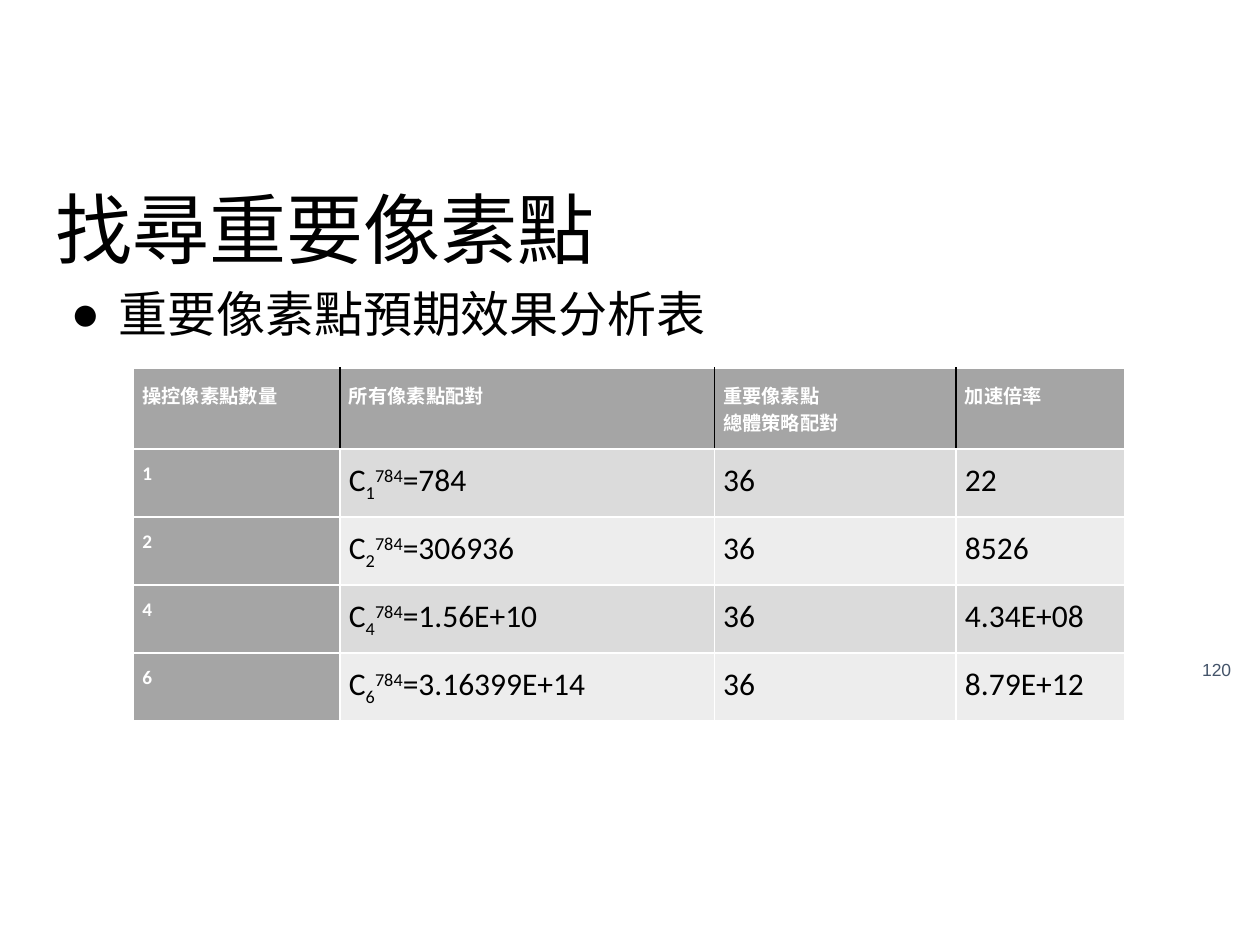
from dataclasses import dataclass

import pptx
import pptx.dml.color
import pptx.enum.text
import pptx.oxml
import pptx.oxml.ns
import pptx.util
from pptx.util import Inches

RGBColor = pptx.dml.color.RGBColor
Anchor = pptx.enum.text.MSO_ANCHOR
Align = pptx.enum.text.PP_ALIGN

BLACK = RGBColor(0x00, 0x00, 0x00)
WHITE = RGBColor(0xFF, 0xFF, 0xFF)
GREY = RGBColor(0xA5, 0xA5, 0xA5)
DARK_BAND = RGBColor(0xDB, 0xDB, 0xDB)
LIGHT_BAND = RGBColor(0xED, 0xED, 0xED)
SLATE = RGBColor(0x44, 0x54, 0x6A)

COLUMN_WIDTHS = (1.64, 2.97, 1.92, 1.34)
HEADER_HEIGHT = 0.64
ROW_HEIGHT = 0.54
HEADINGS = ("操控像素點數量", "所有像素點配對", "重要像素點\n總體策略配對", "加速倍率")


@dataclass
class Result:
    pixels: str
    pairings: str
    strategy: str
    speedup: str


RESULTS = (
    Result("1", "784", "36", "22"),
    Result("2", "306936", "36", "8526"),
    Result("4", "1.56E+10", "36", "4.34E+08"),
    Result("6", "3.16399E+14", "36", "8.79E+12"),
)


@dataclass
class Style:
    size: float
    color: RGBColor
    bold: bool = False
    name: str = "Calibri"


HEADING = Style(11, WHITE, True)
VALUE = Style(18, BLACK)


def apply_style(font, style: Style) -> None:
    font.size = pptx.util.Pt(style.size)
    font.color.rgb = style.color
    font.bold = style.bold
    font.name = style.name


def write_text(frame, text: str, style: Style) -> None:
    frame.text = text
    for para in frame.paragraphs:
        for span in para.runs:
            apply_style(span.font, style)


def place_text(box, bounds: tuple, text: str, style: Style,
               anchor=Anchor.TOP, align=Align.LEFT, spacing: float = 0.9):
    box.left, box.top, box.width, box.height = map(Inches, bounds)
    frame = box.text_frame
    frame.word_wrap = True
    frame.auto_size = pptx.enum.text.MSO_AUTO_SIZE.NONE
    frame.vertical_anchor = anchor
    frame.margin_left = frame.margin_right = Inches(0.1)
    frame.margin_top = frame.margin_bottom = Inches(0.1)
    write_text(frame, text, style)
    para = frame.paragraphs[0]
    para.alignment = align
    para.line_spacing = spacing
    para.space_before = pptx.util.Pt(0)
    return para


def add_bullet(para, symbol: str) -> None:
    properties = para._p.get_or_add_pPr()
    properties.set("marL", str(Inches(0.5)))
    properties.set("indent", str(Inches(-0.38)))
    bullet = pptx.oxml.parse_xml(
        f'<a:buChar {pptx.oxml.ns.nsdecls("a")} char="{symbol}"/>')
    properties.append(bullet)


def set_borders(cell, colors: dict) -> None:
    properties = cell._tc.get_or_add_tcPr()
    for position, (side, color) in enumerate(colors.items()):
        line = pptx.oxml.parse_xml(
            f'<a:ln{side} {pptx.oxml.ns.nsdecls("a")} w="{pptx.util.Pt(1)}">'
            f'<a:solidFill><a:srgbClr val="{color}"/></a:solidFill></a:ln{side}>')
        properties.insert(position, line)


def fill_cell(cell, text: str, style: Style, fill: RGBColor, colors: dict) -> None:
    cell.margin_left = cell.margin_right = Inches(0.07)
    cell.margin_top = cell.margin_bottom = Inches(0.1)
    cell.fill.solid()
    cell.fill.fore_color.rgb = fill
    write_text(cell.text_frame, text, style)
    set_borders(cell, colors)


def add_combination(cell, result: Result) -> None:
    para = cell.text_frame.paragraphs[0]
    parts = (("C", 0), (result.pixels, -25), ("784", 30), (f"={result.pairings}", 0))
    for text, baseline in parts:
        span = para.add_run()
        span.text = text
        apply_style(span.font, VALUE)
        if baseline:
            span._r.get_or_add_rPr().set("baseline", str(baseline * 1000))


def add_results_table(page) -> None:
    height = HEADER_HEIGHT + ROW_HEIGHT * len(RESULTS)
    table = page.shapes.add_table(
        len(RESULTS) + 1, len(COLUMN_WIDTHS), Inches(1.06), Inches(2.92),
        Inches(sum(COLUMN_WIDTHS)), Inches(height)).table
    table.first_col = True
    table.horz_banding = False
    for column, width in zip(table.columns, COLUMN_WIDTHS):
        column.width = Inches(width)
    for index, row in enumerate(table.rows):
        row.height = Inches(ROW_HEIGHT if index else HEADER_HEIGHT)

    white_sides = dict.fromkeys("LRTB", WHITE)
    last = len(HEADINGS) - 1
    for index, heading in enumerate(HEADINGS):
        sides = white_sides | {"L": BLACK if index else WHITE,
                               "R": BLACK if index < last else WHITE}
        fill_cell(table.cell(0, index), heading, HEADING, GREY, sides)

    for row, result in enumerate(RESULTS, start=1):
        band = DARK_BAND if row % 2 else LIGHT_BAND
        texts = (result.pixels, "", result.strategy, result.speedup)
        for column, text in enumerate(texts):
            style, fill = (VALUE, band) if column else (HEADING, GREY)
            fill_cell(table.cell(row, column), text, style, fill, white_sides)
        add_combination(table.cell(row, 1), result)


def main() -> None:
    deck = pptx.Presentation()
    deck.slide_width, deck.slide_height = Inches(10), Inches(7.5)
    page = deck.slides.add_slide(deck.slide_layouts[1])

    place_text(page.shapes.title, (0.34, 1.42, 9.32, 0.63),
               "找尋重要像素點", Style(44, BLACK))
    para = place_text(page.placeholders[1], (0.34, 2.2, 9.32, 3.74),
                      "重要像素點預期效果分析表", Style(28, BLACK))
    add_bullet(para, "●")
    number_box = page.shapes.add_textbox(0, 0, 0, 0)
    place_text(number_box, (9.27, 5.1, 0.6, 0.43), "120",
               Style(10, SLATE, name="Arial"), Anchor.MIDDLE, Align.RIGHT, 1.0)
    add_results_table(page)
    deck.save("out.pptx")


if __name__ == "__main__":
    main()
